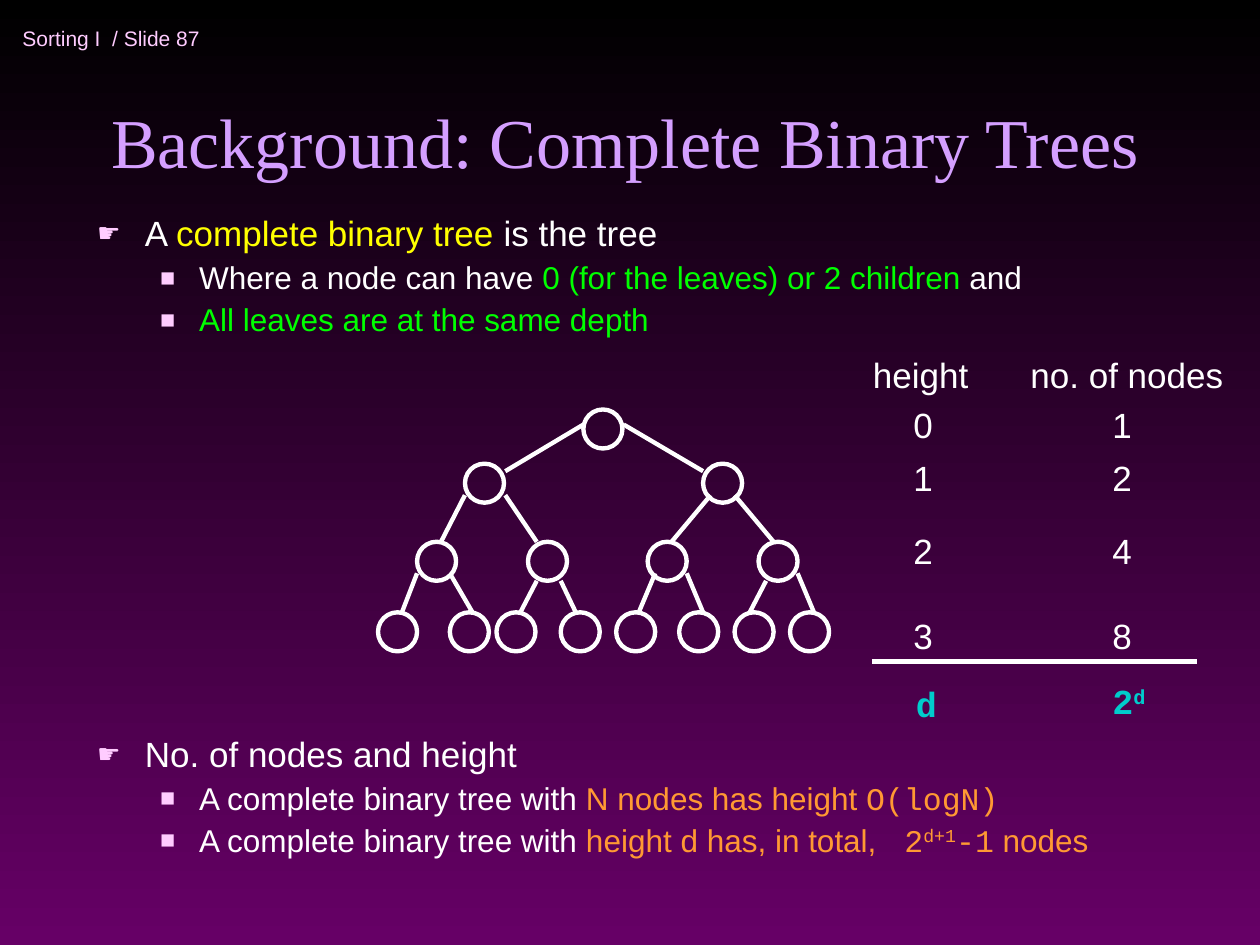
import pptx
import pptx.dml.color
import pptx.enum.shapes
import pptx.enum.text
import pptx.oxml.ns
import pptx.util
from lxml import etree
from pptx.util import Inches

COLORS = {
    "top": "000000", "bottom": "660066", "title": "D49FFF", "bullet": "FFCCFF",
    "white": "FFFFFF", "term": "FFFF00", "rule": "00FF00", "formula": "FF9933",
    "depth": "00CCCC",
}
MONO = "Courier New"
NODE_SIZE = 0.31
LEVELS = [
    (3.25, [4.63]),
    (3.68, [3.69, 5.58]),
    (4.3, [3.31, 4.19, 5.14, 6.02]),
    (4.86, [3, 3.57, 3.94, 4.45, 4.89, 5.39, 5.83, 6.27]),
]
BRANCHES = [
    (4.63, 3.37, 4.01, 3.74), (4.95, 3.37, 5.58, 3.74),
    (3.69, 3.93, 3.5, 4.3), (4.01, 3.93, 4.26, 4.3),
    (5.64, 3.93, 5.33, 4.3), (5.83, 3.93, 6.14, 4.3),
    (3.31, 4.55, 3.19, 4.86), (3.57, 4.55, 3.75, 4.86),
    (4.26, 4.61, 4.13, 4.86), (4.45, 4.61, 4.57, 4.86),
    (5.2, 4.55, 5.07, 4.86), (5.45, 4.55, 5.58, 4.86),
    (6.08, 4.61, 5.95, 4.86), (6.33, 4.55, 6.46, 4.86),
]
COUNT_TOPS = [3.15, 3.57, 4.15, 4.82]
POINTS = [
    (0, 0, [("A ", {}), ("complete binary tree", {"color": "term"}),
            (" is the tree", {})]),
    (1, 4.5, [("Where a node can have ", {}),
              ("0 (for the leaves) or 2 children", {"color": "rule"}),
              (" and", {})]),
    (1, 4.5, [("All leaves are at the same depth", {"color": "rule"})]),
    (0, 228, [("No. of nodes and height", {})]),
    (1, 4.5, [("A complete binary tree with ", {}),
              ("N nodes has height ", {"color": "formula"}),
              ("O(logN)", {"color": "formula", "font": MONO})]),
    (1, 4.5, [("A complete binary tree with ", {}),
              ("height d has, in total, ", {"color": "formula"}),
              (" 2", {"color": "formula", "font": MONO}),
              ("d+1", {"color": "formula", "font": MONO, "raised": True}),
              ("-1", {"color": "formula", "font": MONO}),
              (" nodes", {"color": "formula"})]),
]
BULLETS = [("☛", 75, 0.38, 0.38, 20), ("■", 80, 0.81, 0.31, 18)]


def rgb(name):
    return pptx.dml.color.RGBColor.from_string(COLORS[name])


def write(paragraph, text, size=20, color="white", font="Arial", bold=False, raised=False):
    run = paragraph.add_run()
    run.text = text
    run.font.size = pptx.util.Pt(size)
    run.font.color.rgb = rgb(color)
    run.font.name = font
    run.font.bold = bold
    if raised:
        run._r.get_or_add_rPr().set("baseline", "30000")


def place(shape, left, top, width, height):
    shape.left, shape.top = Inches(left), Inches(top)
    shape.width, shape.height = Inches(width), Inches(height)


def add_label(slide, left, top, width, text, **text_format):
    label = slide.shapes.add_textbox(Inches(left), Inches(top), Inches(width), Inches(0.44))
    label.text_frame.word_wrap = True
    label.text_frame.auto_size = pptx.enum.text.MSO_AUTO_SIZE.NONE
    label.text_frame.vertical_anchor = pptx.enum.text.MSO_ANCHOR.MIDDLE
    paragraph = label.text_frame.paragraphs[0]
    write(paragraph, text, **text_format)
    return paragraph


def add_line(shapes, x1, y1, x2, y2):
    line = shapes.add_connector(
        pptx.enum.shapes.MSO_CONNECTOR.STRAIGHT,
        Inches(x1), Inches(y1), Inches(x2), Inches(y2))
    line.line.color.rgb = rgb("white")
    line.line.width = pptx.util.Pt(2.5)
    etree.SubElement(line._element.spPr, pptx.oxml.ns.qn("a:effectLst"))


def add_node(shapes, left, top):
    node = shapes.add_shape(
        pptx.enum.shapes.MSO_SHAPE.OVAL,
        Inches(left), Inches(top), Inches(NODE_SIZE), Inches(NODE_SIZE))
    node.shadow.inherit = False
    node.fill.background()
    node.line.color.rgb = rgb("white")
    node.line.width = pptx.util.Pt(2.5)


def add_bullet(paragraph, level):
    sign, percent, margin, hanging, _ = BULLETS[level]
    properties = paragraph._p.get_or_add_pPr()
    properties.set("marL", str(Inches(margin)))
    properties.set("indent", str(-Inches(hanging)))
    qn = pptx.oxml.ns.qn
    bullet_color = etree.SubElement(properties, qn("a:buClr"))
    etree.SubElement(bullet_color, qn("a:srgbClr"), val=COLORS["bullet"])
    etree.SubElement(properties, qn("a:buSzPct"), val=str(percent * 1000))
    etree.SubElement(properties, qn("a:buFont"), typeface="Arial")
    etree.SubElement(properties, qn("a:buChar"), char=sign)


def paint_background(slide):
    fill = slide.background.fill
    fill.gradient()
    fill.gradient_angle = 270
    for stop, name in zip(fill.gradient_stops, ("top", "bottom")):
        stop.color.rgb = rgb(name)


def fill_title(slide):
    title = slide.shapes.title
    place(title, 0.67, 0.25, 8.58, 1.25)
    title.text_frame.auto_size = pptx.enum.text.MSO_AUTO_SIZE.NONE
    title.text_frame.vertical_anchor = pptx.enum.text.MSO_ANCHOR.BOTTOM
    heading = title.text_frame.paragraphs[0]
    heading.alignment = pptx.enum.text.PP_ALIGN.CENTER
    write(heading, "Background: Complete Binary Trees",
          size=40, color="title", font="Times New Roman")


def fill_points(slide):
    body = slide.placeholders[1]
    place(body, 0.67, 1.67, 8.58, 5.25)
    frame = body.text_frame
    frame.auto_size = pptx.enum.text.MSO_AUTO_SIZE.NONE
    for index, (level, gap, parts) in enumerate(POINTS):
        point = frame.add_paragraph() if index else frame.paragraphs[0]
        point.level = level
        add_bullet(point, level)
        point.line_spacing = 0.9
        point.space_before = pptx.util.Pt(gap)
        for text, text_format in parts:
            write(point, text, size=BULLETS[level][4], **text_format)


def draw_tree(slide):
    tree = slide.shapes.add_group_shape().shapes
    for top, lefts in LEVELS:
        for left in lefts:
            add_node(tree, left, top)
    for branch in BRANCHES:
        add_line(tree, *branch)


def draw_counts(slide):
    add_label(slide, 6.83, 2.75, 1, "height")
    add_label(slide, 8.08, 2.75, 1.8, "no. of nodes")
    for height, top in enumerate(COUNT_TOPS):
        add_label(slide, 7.15, top, 0.36, str(height))
        add_label(slide, 8.73, top, 0.36, str(2 ** height))
    general = {"color": "depth", "font": MONO, "bold": True}
    add_label(slide, 7.17, 5.36, 0.38, "d", **general)
    power = add_label(slide, 8.73, 5.34, 0.52, "2", **general)
    write(power, "d", raised=True, **general)
    add_line(slide.shapes, 6.92, 5.25, 9.5, 5.25)


def main():
    deck = pptx.Presentation()
    deck.slide_width, deck.slide_height = Inches(10), Inches(7.5)
    slide = deck.slides.add_slide(deck.slide_layouts[1])
    paint_background(slide)
    add_label(slide, 0.08, 0.08, 2.75, "Sorting I  / Slide 87", size=12, color="bullet")
    fill_title(slide)
    fill_points(slide)
    draw_tree(slide)
    draw_counts(slide)
    deck.save("out.pptx")


if __name__ == "__main__":
    main()
